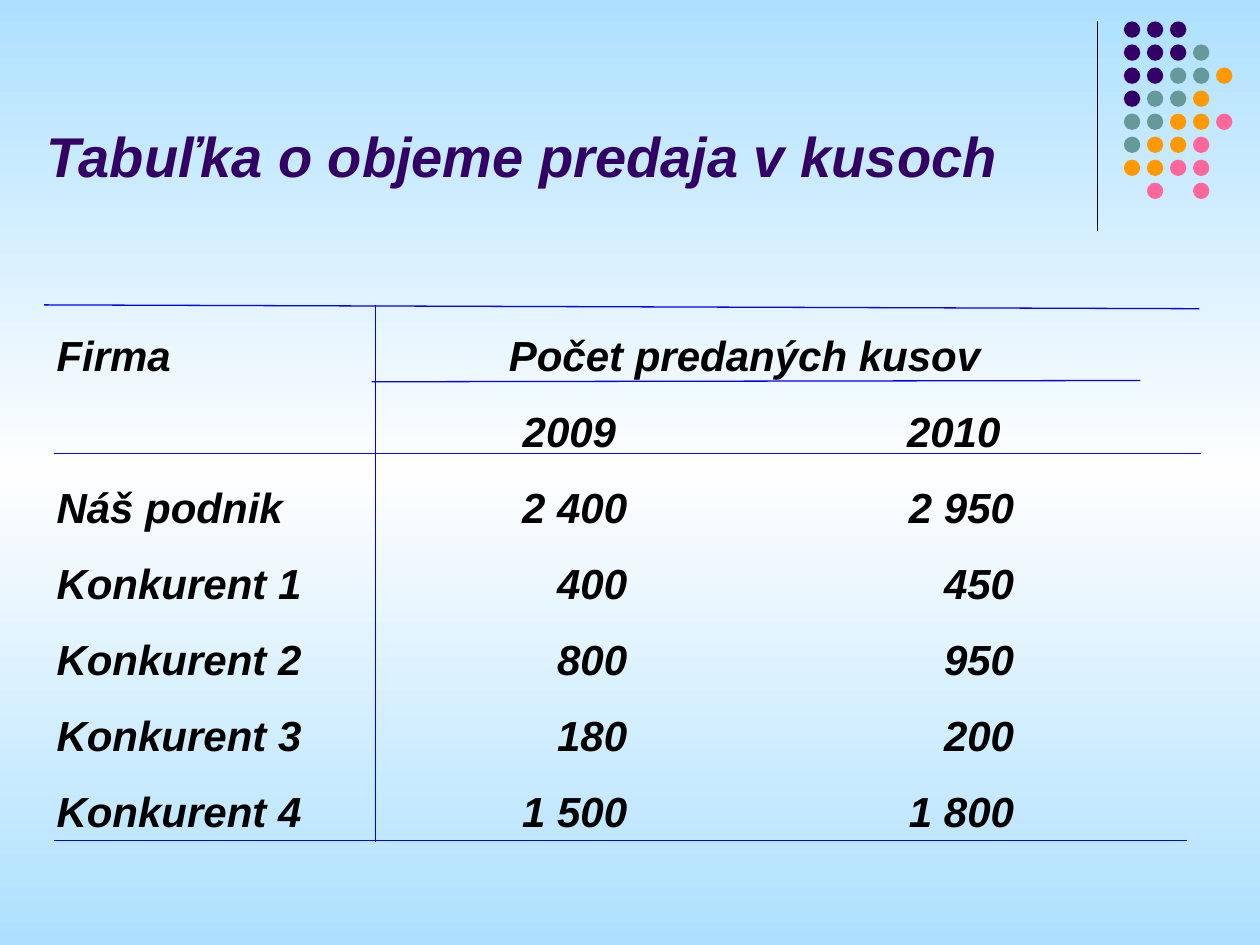
from copy import deepcopy

from pptx import Presentation
from pptx import util as u
from pptx.dml.color import RGBColor
from pptx.enum import shapes, text
from pptx.oxml import ns
from lxml import etree

BLACK = RGBColor(0x00, 0x00, 0x00)
BLUE = RGBColor(0x00, 0x00, 0xFF)
SKY = RGBColor(0xAD, 0xE0, 0xFF)
WHITE = RGBColor(0xFE, 0xFE, 0xFE)
PURPLE = RGBColor(0x33, 0x00, 0x66)
TEAL = RGBColor(0x66, 0x99, 0x99)
ORANGE = RGBColor(0xFF, 0x99, 0x00)
PINK = RGBColor(0xFF, 0x66, 0x99)

DOT_COLOURS = {"P": PURPLE, "T": TEAL, "O": ORANGE, "K": PINK}
DOT_ROWS = ["PPP", "PPPT", "PPTTO", "PTTO", "TTOOK", "TOOK", "OOKK", " K K"]
DOT_PITCH = 1.28 / 7

HEADING_TABS = [(3.59, "l")]
YEAR_TABS = [(3.7, "l"), (6.75, "l")]
NUMBER_TABS = [(4.53, "r"), (7.6, "r")]
SALES_ROWS = [
    ("Firma\tPočet predaných kusov", HEADING_TABS),
    ("\t2009\t2010", YEAR_TABS),
    ("Náš podnik\t2 400\t2 950", NUMBER_TABS),
    ("Konkurent 1\t400\t450", NUMBER_TABS),
    ("Konkurent 2\t800\t950", NUMBER_TABS),
    ("Konkurent 3\t180\t200", NUMBER_TABS),
    ("Konkurent 4\t1 500\t1 800", NUMBER_TABS),
]
TABLE_RULES = [
    (0.35, 2.42, 9.52, 2.45),
    (0.43, 3.6, 9.53, 3.6),
    (0.43, 6.67, 9.42, 6.67),
    (2.98, 2.42, 2.98, 6.68),
    (2.95, 3.03, 9.05, 3.02),
]


class SlideBuilder:
    """Holds the text style and the slide, and adds each kind of element."""

    font_name = "Arial"

    def __init__(self, slide):
        self.slide = slide

    def background(self, colours):
        fill = self.slide.background.fill
        fill.gradient()
        fill.gradient_angle = 270
        stop_list = self.slide.element.find(".//" + ns.qn("a:gsLst"))
        while len(stop_list) < len(colours):
            stop_list.append(deepcopy(stop_list[0]))
        for index, (stop, colour) in enumerate(zip(fill.gradient_stops, colours)):
            stop.color.rgb = colour
            stop.position = index / (len(colours) - 1)

    def line(self, x1, y1, x2, y2, colour):
        connector = self.slide.shapes.add_connector(
            shapes.MSO_CONNECTOR.STRAIGHT, *map(u.Inches, (x1, y1, x2, y2)))
        connector.line.color.rgb = colour
        connector.line.width = u.Pt(0.75)
        etree.SubElement(connector._element.spPr, ns.qn("a:effectLst"))

    def dot(self, left, top, colour):
        shape = self.slide.shapes.add_shape(
            shapes.MSO_SHAPE.OVAL, u.Inches(left), u.Inches(top), u.Inches(0.13), u.Inches(0.13))
        shape.shadow.inherit = False
        shape.fill.solid()
        shape.fill.fore_color.rgb = colour
        shape.line.fill.background()

    def prepare(self, frame, anchor):
        frame.word_wrap = True
        frame.auto_size = text.MSO_AUTO_SIZE.NONE
        frame.vertical_anchor = anchor

    def style(self, paragraph, size, colour):
        paragraph.alignment = text.PP_ALIGN.LEFT
        font = paragraph.font
        font.name, font.size = self.font_name, u.Pt(size)
        font.bold = font.italic = True
        font.color.rgb = colour

    def title(self, wording, *box):
        shape = self.slide.shapes.title
        shape.left, shape.top, shape.width, shape.height = map(u.Inches, box)
        self.prepare(shape.text_frame, text.MSO_ANCHOR.BOTTOM)
        shape.text_frame.text = wording
        self.style(shape.text_frame.paragraphs[0], 32, PURPLE)

    def tabbed_text(self, rows, *box):
        frame = self.slide.shapes.add_textbox(*map(u.Inches, box)).text_frame
        self.prepare(frame, text.MSO_ANCHOR.TOP)
        frame.text = "\n".join(wording for wording, _ in rows)
        for index, (paragraph, (_, tabs)) in enumerate(zip(frame.paragraphs, rows)):
            properties = paragraph._p.get_or_add_pPr()
            tab_list = etree.SubElement(properties, ns.qn("a:tabLst"))
            for position, alignment in tabs:
                etree.SubElement(tab_list, ns.qn("a:tab"),
                                 pos=str(u.Inches(position)), algn=alignment)
            paragraph.line_spacing = 1.3
            paragraph.space_before = u.Pt(6 if index else 0)
            self.style(paragraph, 24, BLACK)


def main():
    presentation = Presentation()
    presentation.slide_width, presentation.slide_height = u.Inches(10), u.Inches(7.5)
    builder = SlideBuilder(presentation.slides.add_slide(presentation.slide_layouts[5]))
    builder.background([SKY, WHITE, SKY])
    builder.line(8.71, 0.17, 8.71, 1.83, BLACK)
    for row, keys in enumerate(DOT_ROWS):
        for column, key in enumerate(keys):
            if key in DOT_COLOURS:
                builder.dot(8.92 + column * DOT_PITCH, 0.17 + row * DOT_PITCH, DOT_COLOURS[key])
    builder.title("Tabuľka o objeme predaja v kusoch", 0.27, 0.85, 8.25, 0.7)
    builder.tabbed_text(SALES_ROWS, 0.35, 2.45, 9.29, 4.36)
    for rule in TABLE_RULES:
        builder.line(*rule, BLUE)
    presentation.save("out.pptx")


if __name__ == "__main__":
    main()
